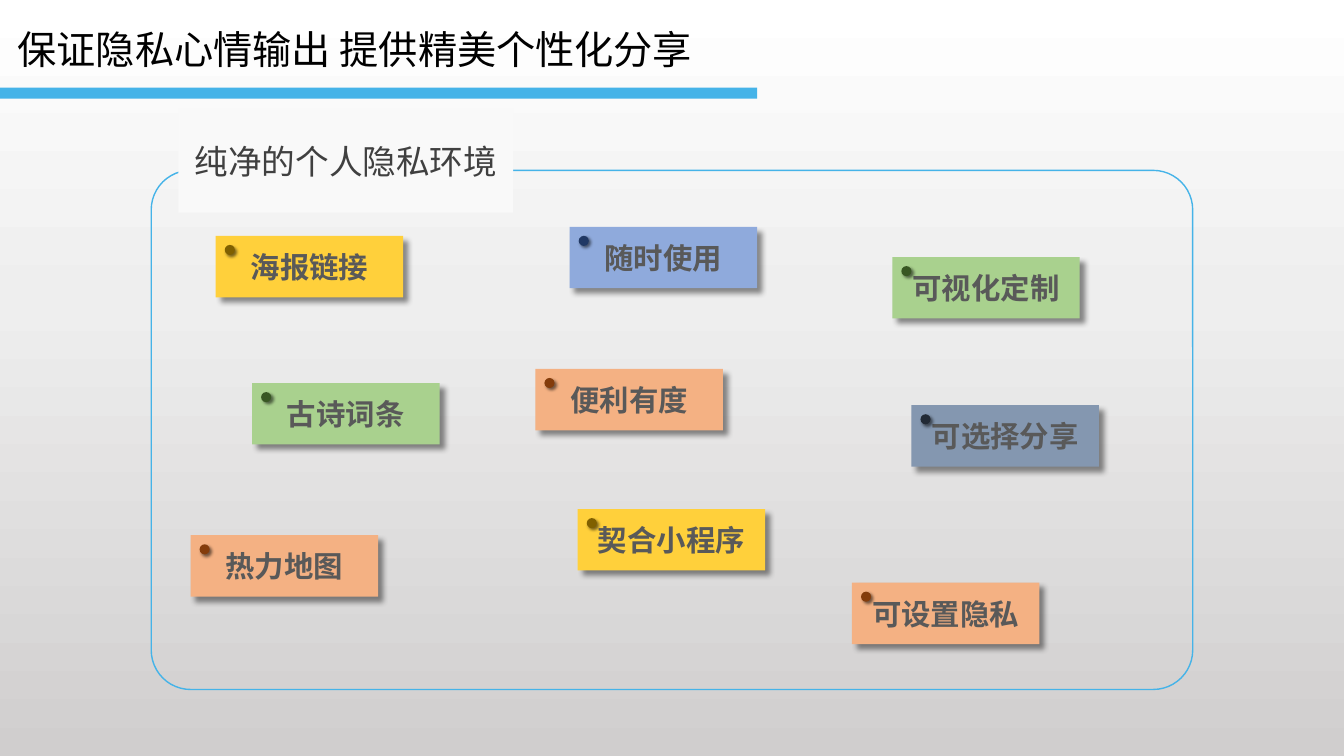
from dataclasses import dataclass

from lxml import etree
from pptx import Presentation
from pptx.dml.color import RGBColor
from pptx.enum.shapes import MSO_SHAPE
from pptx.enum.text import MSO_ANCHOR, PP_ALIGN
from pptx.oxml.ns import qn
from pptx.util import Inches, Pt

RECTANGLE = MSO_SHAPE.RECTANGLE
ROUNDED = MSO_SHAPE.ROUNDED_RECTANGLE
OVAL = MSO_SHAPE.OVAL
MIDDLE = MSO_ANCHOR.MIDDLE
CENTER = PP_ALIGN.CENTER
TITLE_ONLY = 5


@dataclass(frozen=True)
class Theme:
    latin: str = "Arial"
    east_asian: str = "Noto Sans CJK SC"
    title_size: int = 28
    heading_size: int = 24
    note_size: int = 21
    title: str = "000000"
    heading: str = "404040"
    note: str = "595959"
    accent: str = "45B3E8"
    label: str = "F9F9F9"
    shadow: str = "000000"
    # Position in percent and colour
    backdrop: tuple = ((0, "FFFFFF"), (40, "EEEEEE"), (100, "D0CECE"))


THEME = Theme()

# Note colour and pin colour
YELLOW = ("FFD03B", "806000")
GREEN = ("A9D18E", "385723")
ORANGE = ("F4B183", "843C0B")
BLUE = ("8FAADC", "203864")
SLATE = ("8497B0", "222A35")

NOTES = [
    ("海报链接", 2.14, 2.34, YELLOW),
    ("古诗词条", 2.5, 3.8, GREEN),
    ("热力地图", 1.89, 5.31, ORANGE),
    ("随时使用", 5.65, 2.25, BLUE),
    ("便利有度", 5.31, 3.66, ORANGE),
    ("契合小程序", 5.73, 5.05, YELLOW),
    ("可视化定制", 8.85, 2.55, GREEN),
    ("可选择分享", 9.04, 4.02, SLATE),
    ("可设置隐私", 8.45, 5.78, ORANGE),
]
NOTE_WIDTH, NOTE_HEIGHT = 1.86, 0.61
PIN_OFFSET, PIN_SIZE = 0.09, 0.1


def add_colour(parent, value):
    return etree.SubElement(parent, qn("a:srgbClr"), val=value)


def paint_background(slide):
    fill = slide.background.fill
    fill.gradient()
    fill.gradient_angle = 270
    stops = next(slide.element.iter(qn("a:gsLst")))
    for stop in list(stops):
        stops.remove(stop)
    for position, colour in THEME.backdrop:
        stop = etree.SubElement(stops, qn("a:gs"), pos=str(position * 1000))
        add_colour(stop, colour)


def add_box(shapes, kind, left, top, width, height, fill=None, line=None):
    shape = shapes.add_shape(
        kind, Inches(left), Inches(top), Inches(width), Inches(height)
    )
    shape.shadow.inherit = False
    if fill:
        shape.fill.solid()
        shape.fill.fore_color.rgb = RGBColor.from_string(fill)
    else:
        shape.fill.background()
    if line:
        shape.line.color.rgb = RGBColor.from_string(line)
        shape.line.width = Pt(1)
    else:
        shape.line.fill.background()
    return shape


def cast_shadow(shape, opacity, blur, distance):
    effects = shape.element.spPr.find(qn("a:effectLst"))
    shadow = etree.SubElement(
        effects, qn("a:outerShdw"), blurRad=str(Pt(blur)), dist=str(Pt(distance)),
        dir=str(45 * 60000), algn="tl", rotWithShape="0",
    )
    colour = add_colour(shadow, THEME.shadow)
    etree.SubElement(colour, qn("a:alpha"), val=str(opacity * 1000))


def write_text(shape, text, size, colour, latin, bold=False):
    frame = shape.text_frame
    frame.word_wrap = True
    frame.vertical_anchor = MIDDLE
    frame.text = text
    paragraph = frame.paragraphs[0]
    paragraph.alignment = CENTER
    font = paragraph.font
    font.size = Pt(size)
    font.bold = bold
    font.color.rgb = RGBColor.from_string(colour)
    font.name = latin
    # The East Asian typeface follows the Latin one
    latin_element = next(shape.element.iter(qn("a:latin")))
    latin_element.addnext(
        latin_element.makeelement(qn("a:ea"), {"typeface": THEME.east_asian})
    )


def add_title(slide, text):
    title = slide.shapes.title
    title.left, title.top = Inches(-0.31), Inches(0.2)
    title.width, title.height = Inches(7.66), Inches(0.57)
    write_text(title, text, THEME.title_size, THEME.title, THEME.latin)


def add_frame(shapes, heading):
    frame = add_box(shapes, ROUNDED, 1.5, 1.69, 10.33, 5.15, line=THEME.accent)
    frame.adjustments[0] = 0.076
    label = add_box(shapes, RECTANGLE, 1.77, 1.08, 3.32, 1.03, fill=THEME.label)
    write_text(label, heading, THEME.heading_size, THEME.heading, THEME.east_asian)


def add_note(shapes, text, left, top, colours):
    note_colour, pin_colour = colours
    group = shapes.add_group_shape()
    note = add_box(
        group.shapes, RECTANGLE, left, top, NOTE_WIDTH, NOTE_HEIGHT, fill=note_colour
    )
    cast_shadow(note, opacity=44, blur=4, distance=5)
    write_text(
        note, text, THEME.note_size, THEME.note, THEME.east_asian, bold=True
    )
    pin = add_box(
        group.shapes, OVAL, left + PIN_OFFSET, top + PIN_OFFSET,
        PIN_SIZE, PIN_SIZE, fill=pin_colour,
    )
    cast_shadow(pin, opacity=52, blur=2, distance=2)


def main():
    presentation = Presentation()
    presentation.slide_width = Inches(13.33)
    presentation.slide_height = Inches(7.5)
    slide = presentation.slides.add_slide(presentation.slide_layouts[TITLE_ONLY])
    paint_background(slide)

    # Title with its underline bar
    add_title(slide, "保证隐私心情输出 提供精美个性化分享")
    add_box(slide.shapes, RECTANGLE, 0, 0.87, 7.51, 0.11, fill=THEME.accent)

    # Framed board with pinned notes
    add_frame(slide.shapes, "纯净的个人隐私环境")
    for note in NOTES:
        add_note(slide.shapes, *note)

    presentation.save("out.pptx")


if __name__ == "__main__":
    main()
